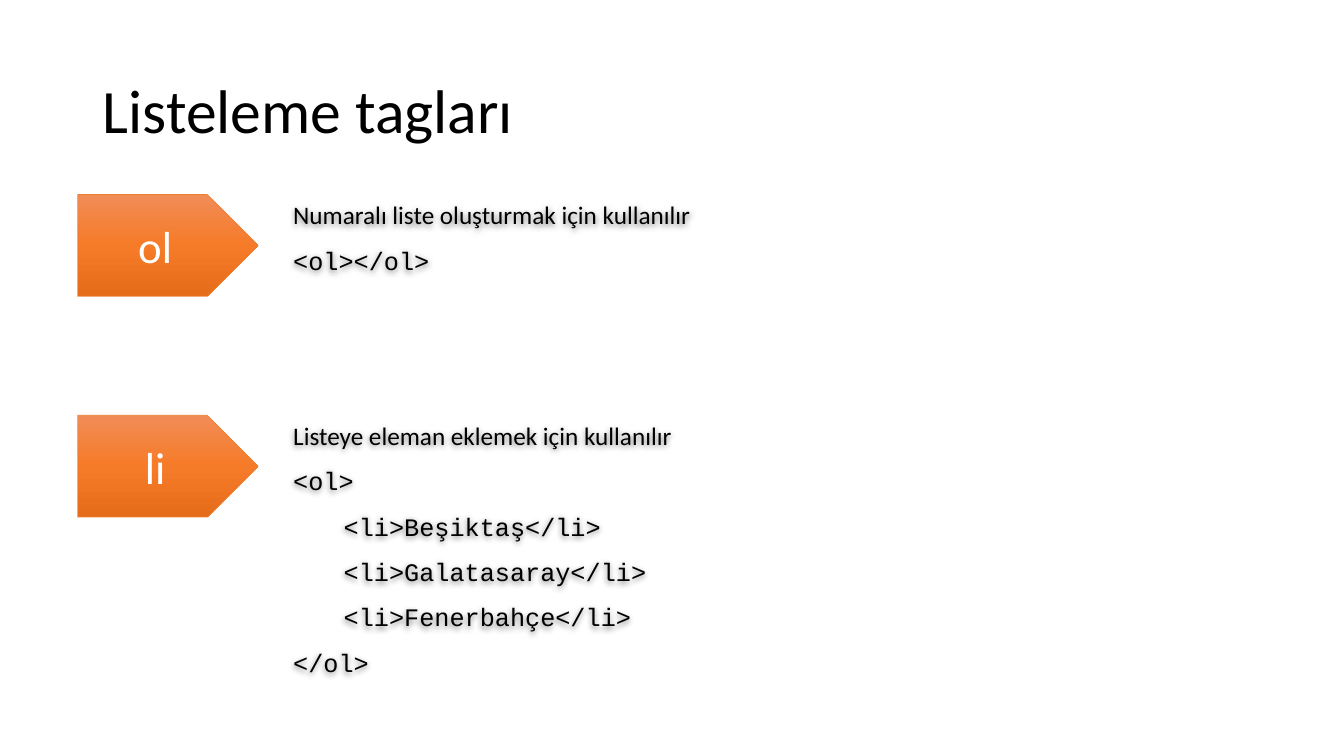
from lxml import etree
from pptx import Presentation
from pptx.dml.color import RGBColor
from pptx.enum.shapes import MSO_SHAPE
from pptx.enum.text import MSO_ANCHOR, MSO_AUTO_SIZE, PP_ALIGN
from pptx.oxml import parse_xml
from pptx.oxml.ns import qn
from pptx.util import Inches, Pt

PENTAGON = MSO_SHAPE.PENTAGON
MIDDLE, TOP = MSO_ANCHOR.MIDDLE, MSO_ANCHOR.TOP
LEFT, CENTER = PP_ALIGN.LEFT, PP_ALIGN.CENTER
NO_FIT = MSO_AUTO_SIZE.NONE
DRAWING = "http://schemas.openxmlformats.org/drawingml/2006/main"

TAGS = [
    ("ol", 1.93, 1.6, "Numaralı liste oluşturmak için kullanılır", ["<ol></ol>"]),
    ("li", 4.12, 2.9, "Listeye eleman eklemek için kullanılır",
     ["<ol>", "\t<li>Beşiktaş</li>", "\t<li>Galatasaray</li>",
      "\t<li>Fenerbahçe</li>", "</ol>"]),
]


def rgb(value):
    return RGBColor.from_string(value)


def write(para, text, size=18, font="Calibri", color="000000", align=LEFT,
          before=0, after=0, tab=None):
    if tab is not None:
        tabs = etree.SubElement(para._p.get_or_add_pPr(), qn("a:tabLst"))
        etree.SubElement(tabs, qn("a:tab"), pos=str(Inches(tab)), algn="l")
    para.alignment = align
    para.space_before, para.space_after = Pt(before), Pt(after)
    span = para.add_run()
    span.text = text
    span.font.name, span.font.size = font, Pt(size)
    span.font.color.rgb = rgb(color)


class TagPage:
    text_color = "000000"
    label_color = "FFFFFF"
    outline = "ED7D31"
    gradient = [(0, "F18C57"), (50, "F67B28"), (100, "E56C19")]
    code_font = "Courier New"

    def __init__(self, deck):
        self.page = deck.slides.add_slide(deck.slide_layouts[5])

    def title(self, text):
        box = self.page.shapes.title
        box.left, box.top = Inches(0.92), Inches(0.4)
        box.width, box.height = Inches(11.5), Inches(1.45)
        frame = box.text_frame
        frame.vertical_anchor, frame.auto_size = MIDDLE, NO_FIT
        frame.paragraphs[0].line_spacing = 0.9
        write(frame.paragraphs[0], text, size=44, color=self.text_color)

    def label(self, text, top):
        arrow = self.page.shapes.add_shape(
            PENTAGON, Inches(0.77), Inches(top), Inches(1.79), Inches(1.01))
        arrow.shadow.inherit = False
        stops = "".join(f'<a:gs pos="{place * 1000}"><a:srgbClr val="{color}"/></a:gs>'
                        for place, color in self.gradient)
        fill = parse_xml(f'<a:gradFill xmlns:a="{DRAWING}" rotWithShape="1">'
                         f'<a:gsLst>{stops}</a:gsLst><a:lin ang="5400000" scaled="0"/>'
                         '</a:gradFill>')
        arrow._element.spPr.find(qn("a:prstGeom")).addnext(fill)
        arrow.line.color.rgb = rgb(self.outline)
        arrow.line.width = Pt(0.5)
        arrow.text_frame.vertical_anchor = MIDDLE
        write(arrow.text_frame.paragraphs[0], text, size=32,
              color=self.label_color, align=CENTER)

    def description(self, summary, code, top, height):
        box = self.page.shapes.add_textbox(
            Inches(2.81), Inches(top), Inches(9.62), Inches(height))
        self.soft_shadow(box)
        frame = box.text_frame
        frame.word_wrap, frame.vertical_anchor = True, TOP
        write(frame.paragraphs[0], summary, color=self.text_color, after=6)
        for line in code:
            write(frame.add_paragraph(), line, font=self.code_font,
                  color=self.text_color, before=4.8, after=6,
                  tab=0.5 if line.startswith("\t") else None)

    def soft_shadow(self, box):
        """Give the text of an unfilled box a blurred shadow."""
        box._element.spPr.append(parse_xml(
            f'<a:effectLst xmlns:a="{DRAWING}">'
            '<a:outerShdw blurRad="50800" dist="19050" dir="5400000" algn="ctr" '
            'rotWithShape="0"><a:srgbClr val="000000"><a:alpha val="50000"/>'
            '</a:srgbClr></a:outerShdw></a:effectLst>'))


def main():
    deck = Presentation()
    deck.slide_width, deck.slide_height = Inches(13.33), Inches(7.5)
    page = TagPage(deck)
    page.title("Listeleme tagları")
    for tag, top, height, summary, code in TAGS:
        page.label(tag, top)
        page.description(summary, code, top, height)
    deck.save("out.pptx")


if __name__ == "__main__":
    main()
